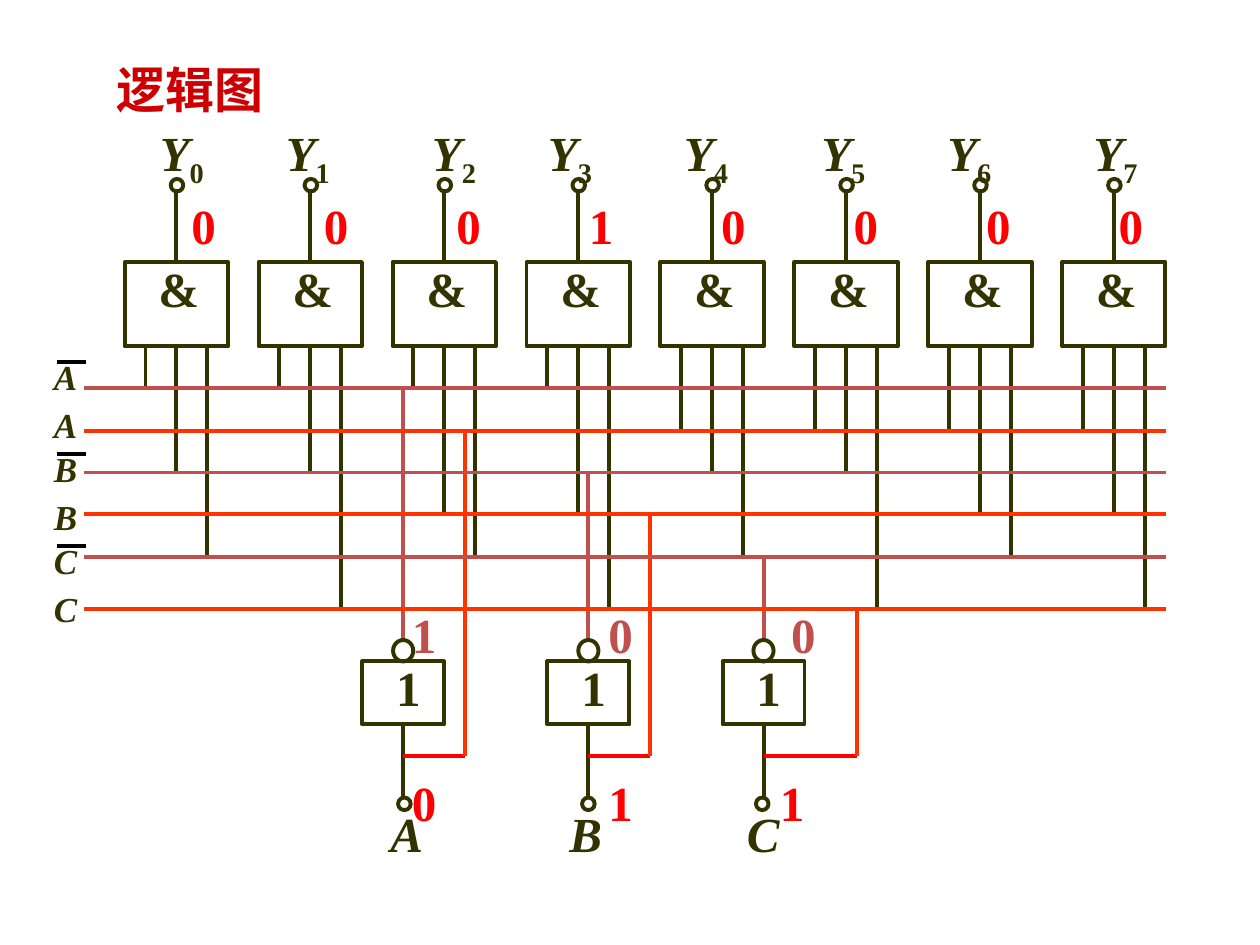
from dataclasses import dataclass

from lxml.etree import SubElement
from pptx import Presentation
from pptx.dml.color import RGBColor
from pptx.enum.shapes import MSO_CONNECTOR as Connector
from pptx.enum.shapes import MSO_SHAPE as Preset
from pptx.enum.text import PP_ALIGN as Align
from pptx.oxml.ns import qn
from pptx.util import Inches, Pt

INK = "333300"
TITLE_RED = "CC0000"
SIGNAL_RED = "FF0000"
TRUE_WIRE = "FF3300"
INVERTED_WIRE = "C0504D"
OVERBAR = "000000"

GATE_WIDTH, GATE_HEIGHT = 0.82, 0.67
GATE_TOP = 2.08
GATE_BOTTOM = GATE_TOP + GATE_HEIGHT
FIRST_GATE, LAST_GATE = 1.4, 8.84
FIRST_VALUE, LAST_VALUE = 1.42, 8.78
PIN_GAP = 0.245
TERMINAL = 0.1
BUS_LEFT, BUS_RIGHT = 0.67, 9.25
INVERTER_WIDTH, INVERTER_HEIGHT = 0.65, 0.5
INVERTER_TOP = 5.25
BUBBLE_WIDTH, BUBBLE_HEIGHT = 0.16, 0.17
TAP = 6
INPUT_END = 6.33


@dataclass
class Signal:
    name: str
    inverted_bus: float
    true_bus: float
    label_top: float
    center: float
    feedback: float
    terminal_left: float
    name_left: float
    input_value: str
    input_left: float
    inverted_value: str
    inverted_left: float


@dataclass
class Output:
    index: int
    label_left: float
    value: str


SIGNALS = [
    Signal("A", 3.08, 3.42, 2.77, 3.2, 3.69, 3.16, 3, "0", 3.17, "1", 3.17),
    Signal("B", 3.75, 4.08, 3.5, 4.67, 5.16, 4.62, 4.42, "1", 4.73, "0", 4.73),
    Signal("C", 4.42, 4.83, 4.23, 6.06, 6.8, 6, 5.83, "1", 6.09, "0", 6.18),
]
LABEL_LEFTS = [1.17, 2.17, 3.33, 4.25, 5.33, 6.42, 7.42, 8.58]
OUTPUTS = [
    Output(index, left, value)
    for index, (left, value) in enumerate(zip(LABEL_LEFTS, "00010000"))
]


def color(value: str) -> RGBColor:
    return RGBColor.from_string(value)


def spread(first: float, last: float, index: int) -> float:
    return first + (last - first) * index / (len(OUTPUTS) - 1)


def write(slide, text: str, left: float, top: float, *, width: float = 0.49,
          height: float = 0.57, size: float = 28, ink: str = INK,
          italic: bool = False, subscript: str = "") -> None:
    box = slide.shapes.add_textbox(
        Inches(left), Inches(top), Inches(width), Inches(height))
    frame = box.text_frame
    frame.word_wrap = True
    paragraph = frame.paragraphs[0]
    paragraph.alignment = Align.LEFT
    for content, lowered in ((text, False), (subscript, True)):
        if not content:
            continue
        run = paragraph.add_run()
        run.text = content
        run.font.name = "Times New Roman"
        run.font.size = Pt(size)
        run.font.bold = True
        run.font.italic = italic and not lowered
        run.font.color.rgb = color(ink)
        if lowered:
            run._r.get_or_add_rPr().set("baseline", "-25000")


def wire(slide, x1: float, y1: float, x2: float, y2: float,
         ink: str = INK) -> None:
    line = slide.shapes.add_connector(
        Connector.STRAIGHT, Inches(x1), Inches(y1), Inches(x2), Inches(y2))
    line.line.color.rgb = color(ink)
    line.line.width = Pt(2.25)
    SubElement(line._element.spPr, qn("a:effectLst"))


def outline(slide, preset: Preset, left: float, top: float,
            width: float, height: float) -> None:
    shape = slide.shapes.add_shape(
        preset, Inches(left), Inches(top), Inches(width), Inches(height))
    shape.shadow.inherit = False
    shape.fill.background()
    shape.line.color.rgb = color(INK)
    shape.line.width = Pt(2.25)


def draw_gate_pins(slide, output: Output) -> None:
    center = spread(FIRST_GATE, LAST_GATE, output.index)
    for position, signal in enumerate(SIGNALS):
        high = output.index >> (2 - position) & 1
        bus = signal.true_bus if high else signal.inverted_bus
        pin = center + (position - 1) * PIN_GAP
        wire(slide, pin, GATE_BOTTOM, pin, bus)


def draw_inverter(slide, signal: Signal) -> None:
    center = signal.center
    left = center - INVERTER_WIDTH / 2
    bubble_top = INVERTER_TOP - BUBBLE_HEIGHT
    wire(slide, center, bubble_top, center, signal.inverted_bus, INVERTED_WIRE)
    outline(slide, Preset.RECTANGLE, left, INVERTER_TOP,
            INVERTER_WIDTH, INVERTER_HEIGHT)
    write(slide, "1", left + 0.17, 5.17, width=0.41)
    outline(slide, Preset.OVAL, center - BUBBLE_WIDTH / 2, bubble_top,
            BUBBLE_WIDTH, BUBBLE_HEIGHT)
    wire(slide, center, INVERTER_TOP + INVERTER_HEIGHT, center, INPUT_END)
    outline(slide, Preset.OVAL, signal.terminal_left, INPUT_END,
            TERMINAL, TERMINAL)
    write(slide, signal.name, signal.name_left, 6.33, italic=True)


def draw_buses(slide, signal: Signal) -> None:
    for bus, ink in ((signal.inverted_bus, INVERTED_WIRE),
                     (signal.true_bus, TRUE_WIRE)):
        wire(slide, BUS_LEFT, bus, BUS_RIGHT, bus, ink)
    wire(slide, signal.center, TAP, signal.feedback, TAP, SIGNAL_RED)
    wire(slide, signal.feedback, TAP, signal.feedback, signal.true_bus,
         TRUE_WIRE)


def draw_gate(slide, output: Output) -> None:
    center = spread(FIRST_GATE, LAST_GATE, output.index)
    left = center - GATE_WIDTH / 2
    outline(slide, Preset.RECTANGLE, left, GATE_TOP, GATE_WIDTH, GATE_HEIGHT)
    write(slide, "&", left + 0.17, 2, width=0.57)
    wire(slide, center, GATE_TOP, center, 1.5)
    write(slide, "Y", output.label_left, 0.92, width=0.65, italic=True,
          subscript=str(output.index))
    outline(slide, Preset.OVAL, center - 0.045, 1.42, TERMINAL, TERMINAL)
    write(slide, output.value, spread(FIRST_VALUE, LAST_VALUE, output.index),
          1.5, ink=SIGNAL_RED)


def draw_signal_labels(slide, signal: Signal) -> None:
    write(slide, signal.input_value, signal.input_left, 6.08, ink=SIGNAL_RED)
    write(slide, signal.inverted_value, signal.inverted_left, 4.75,
          ink=INVERTED_WIRE)
    for top in (signal.label_top, signal.label_top + 0.38):
        write(slide, signal.name, 0.33, top, width=0.39, height=0.42,
              size=20, italic=True)
    bar = signal.label_top + 0.1
    wire(slide, 0.45, bar, 0.68, bar, OVERBAR)


def main() -> None:
    deck = Presentation()
    deck.slide_width, deck.slide_height = Inches(10), Inches(7.5)
    slide = deck.slides.add_slide(deck.slide_layouts[6])
    write(slide, "逻辑图", 0.83, 0.42, width=1.51, ink=TITLE_RED)
    for draw, items in ((draw_gate_pins, OUTPUTS), (draw_inverter, SIGNALS),
                        (draw_buses, SIGNALS), (draw_gate, OUTPUTS),
                        (draw_signal_labels, SIGNALS)):
        for item in items:
            draw(slide, item)
    deck.save("out.pptx")


if __name__ == "__main__":
    main()
